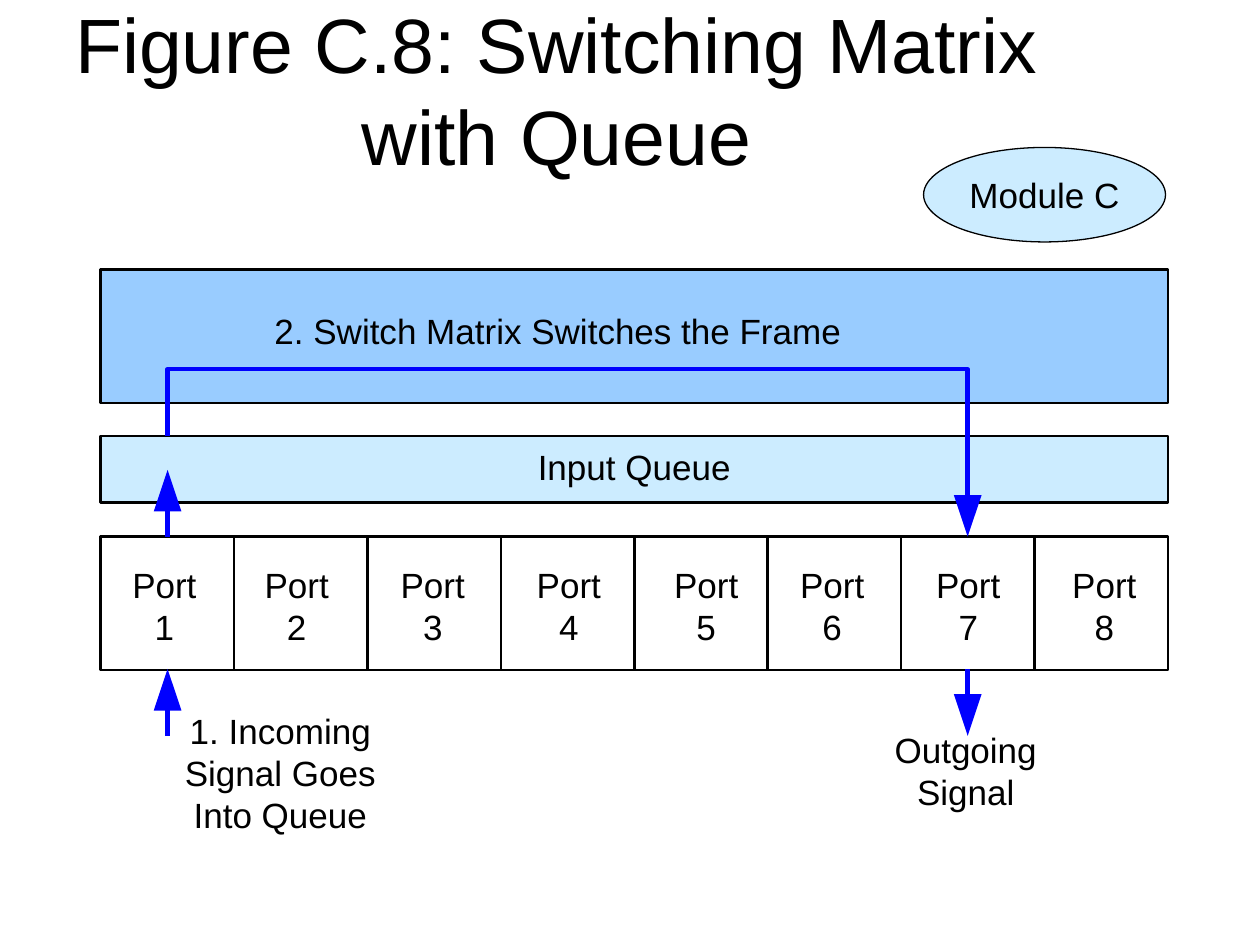
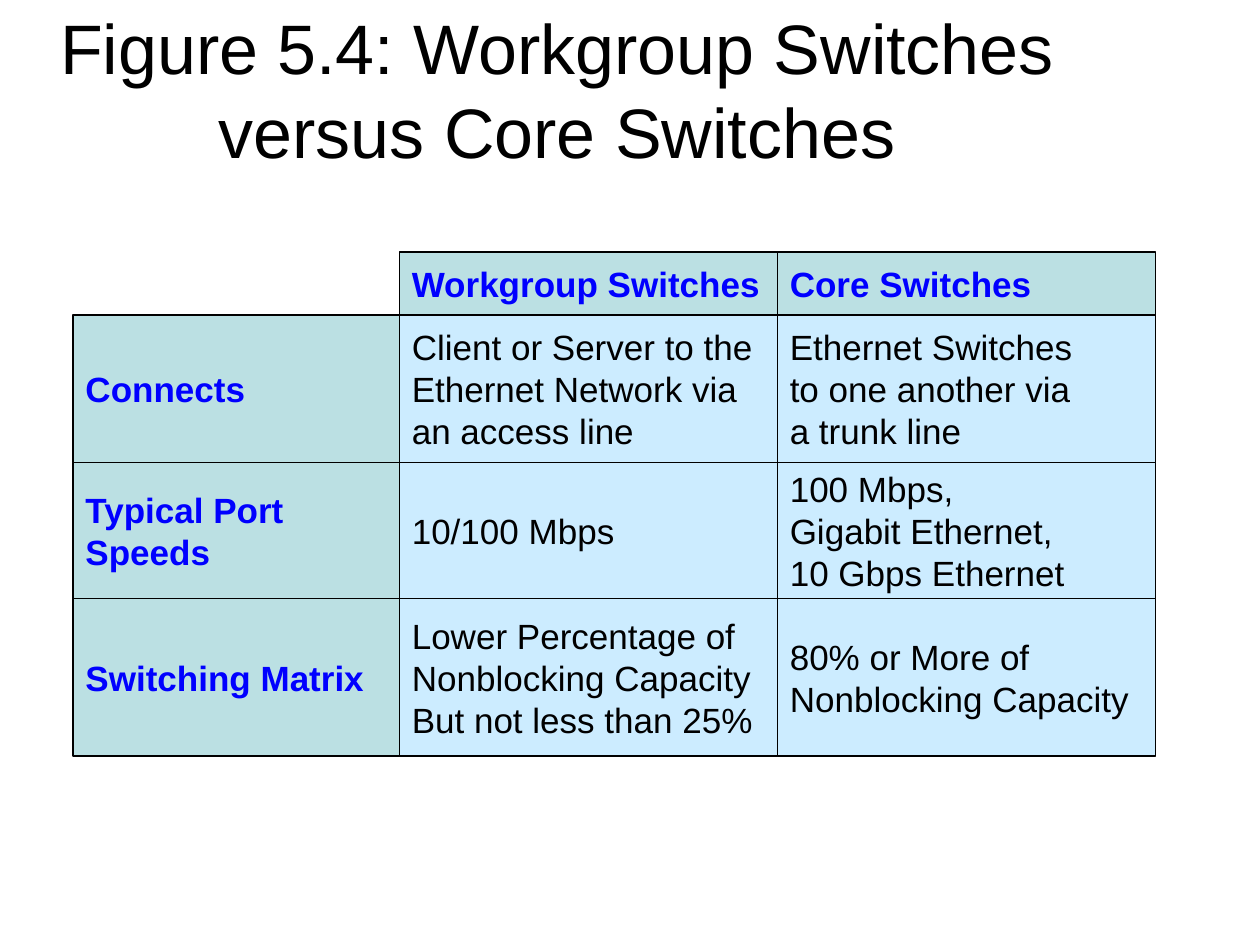
from itertools import accumulate

from lxml import etree
from pptx import Presentation
from pptx.dml.color import RGBColor
from pptx.enum import shapes, text
from pptx.oxml import ns
from pptx.util import Inches, Pt

FONT = "Arial"
BODY_SIZE = 20
COLORS = {
    "black": "000000",
    "white": "FFFFFF",
    "signal": "0000FF",
    "pale": "CCECFF",
    "matrix": "99CCFF",
    "header": "BBE0E3",
}

PORT_COUNT = 8
PORT_LEFT, PORT_TOP, PORT_SIDE = 0.8, 4.26, 1.06
DEVICE_WIDTH = 8.47
PORT_PITCH = (DEVICE_WIDTH - PORT_SIDE) / (PORT_COUNT - 1)
PORT_LABEL_LEFTS = (0.95, 2, 3.08, 4.16, 5.25, 6.25, 7.33, 8.41)
INCOMING_X, OUTGOING_X = 1.33, 7.68
HEAD_WIDTH, HEAD_LENGTH = 0.22, 0.33

GRID_LEFT, GRID_TOP = 0.58, 2
COLUMN_WIDTHS = (2.59, 3, 3)
ROW_HEIGHTS = (0.5, 1.17, 1.08, 1.25)
COMPARISON = (
    ("", "Workgroup Switches", "Core Switches"),
    ("Connects",
     "Client or Server to the\nEthernet Network via\nan access line",
     "Ethernet Switches\nto one another via\na trunk line"),
    ("Typical Port\nSpeeds",
     "10/100 Mbps",
     "100 Mbps,\nGigabit Ethernet,\n10 Gbps Ethernet"),
    ("Switching Matrix",
     "Lower Percentage of\nNonblocking Capacity\nBut not less than 25%",
     "80% or More of\nNonblocking Capacity"),
)


def color(name):
    return RGBColor.from_string(COLORS[name])


def write(text_frame, content, size=BODY_SIZE, name="black", bold=False, centered=False):
    text_frame.text = content
    for paragraph in text_frame.paragraphs:
        paragraph.alignment = text.PP_ALIGN.CENTER if centered else text.PP_ALIGN.LEFT
        for run in paragraph.runs:
            run.font.name = FONT
            run.font.size = Pt(size)
            run.font.bold = bold
            run.font.color.rgb = color(name)


def paint(shape, fill=None, line=None, width=1.5):
    shape.shadow.inherit = False
    if fill:
        shape.fill.solid()
        shape.fill.fore_color.rgb = color(fill)
    else:
        shape.fill.background()
    if line:
        shape.line.color.rgb = color(line)
        shape.line.width = Pt(width)
    else:
        shape.line.fill.background()


def add_box(slide, left, top, width, height, fill, line_width=1.5):
    box = slide.shapes.add_shape(
        shapes.MSO_SHAPE.RECTANGLE, Inches(left), Inches(top), Inches(width), Inches(height))
    paint(box, fill, "black", line_width)
    return box


def add_label(slide, content, left, top, width, height, centered=True):
    label = slide.shapes.add_textbox(Inches(left), Inches(top), Inches(width), Inches(height))
    label.text_frame.word_wrap = False
    write(label.text_frame, content, centered=centered)


def add_title(slide, content, size):
    title = slide.shapes.add_textbox(Inches(0.17), Inches(0.08), Inches(8.5), Inches(1.25))
    title.text_frame.word_wrap = True
    title.text_frame.vertical_anchor = text.MSO_ANCHOR.MIDDLE
    write(title.text_frame, content, size, centered=True)


def add_path(slide, points, close):
    points = [(Inches(x), Inches(y)) for x, y in points]
    builder = slide.shapes.build_freeform(*points[0])
    builder.add_line_segments(points[1:], close=close)
    return builder.convert_to_shape()


def add_arrowhead(slide, x, tip, direction):
    base = tip - direction * HEAD_LENGTH
    half = HEAD_WIDTH / 2
    head = add_path(slide, [(x - half, base), (x, tip), (x + half, base)], True)
    paint(head, "signal")


def add_arrow(slide, x, start, tip):
    direction = 1 if tip > start else -1
    stem_end = tip - direction * 0.3
    stem = slide.shapes.add_connector(
        shapes.MSO_CONNECTOR.STRAIGHT, Inches(x), Inches(start), Inches(x), Inches(stem_end))
    stem.line.color.rgb = color("signal")
    stem.line.width = Pt(2.5)
    etree.SubElement(stem._element.spPr, ns.qn("a:effectLst"))
    add_arrowhead(slide, x, tip, direction)


def add_module_badge(slide):
    badge = slide.shapes.add_shape(
        shapes.MSO_SHAPE.OVAL, Inches(7.33), Inches(1.17), Inches(1.92), Inches(0.75))
    paint(badge, "pale", "black", 0.75)
    badge.text_frame.word_wrap = False
    badge.text_frame.vertical_anchor = text.MSO_ANCHOR.MIDDLE
    write(badge.text_frame, "Module C", centered=True)


def add_grid_cell(slide, content, left, top, width, height, is_header):
    cell = add_box(slide, left, top, width, height, "header" if is_header else "pale", 0.75)
    frame = cell.text_frame
    frame.word_wrap = True
    frame.margin_right = Inches(0.02)
    frame.vertical_anchor = text.MSO_ANCHOR.MIDDLE
    write(frame, content, name="signal" if is_header else "black", bold=is_header)


def add_comparison(slide):
    lefts = list(accumulate(COLUMN_WIDTHS, initial=GRID_LEFT))
    tops = list(accumulate(ROW_HEIGHTS, initial=GRID_TOP))
    for column, width in enumerate(COLUMN_WIDTHS):
        for row, height in enumerate(ROW_HEIGHTS):
            content = COMPARISON[row][column]
            if content:
                add_grid_cell(slide, content, lefts[column], tops[row], width, height,
                              row == 0 or column == 0)


def build_matrix_slide(slide):
    for index in range(PORT_COUNT):
        add_box(slide, PORT_LEFT + index * PORT_PITCH, PORT_TOP, PORT_SIDE, PORT_SIDE, "white")
    add_box(slide, PORT_LEFT, 3.46, DEVICE_WIDTH, 0.53, "pale")
    add_box(slide, PORT_LEFT, 2.14, DEVICE_WIDTH, 1.06, "matrix")

    add_arrow(slide, INCOMING_X, 5.84, 5.31)
    add_arrow(slide, INCOMING_X, PORT_TOP, 3.73)
    route = add_path(slide, [(INCOMING_X, 3.46), (INCOMING_X, 2.93),
                             (OUTGOING_X, 2.93), (OUTGOING_X, 3.95)], False)
    paint(route, line="signal", width=2.5)
    add_arrowhead(slide, OUTGOING_X, PORT_TOP, 1)
    add_arrow(slide, OUTGOING_X, 5.31, 5.84)

    add_title(slide, "Figure C.8: Switching Matrix with Queue", 44)
    add_label(slide, "2. Switch Matrix Switches the Frame", 2.08, 2.41, 4.7, 0.44, False)
    add_label(slide, "Input Queue", 4.17, 3.49, 1.73, 0.44, False)
    add_label(slide, "1. Incoming\nSignal Goes\nInto Queue", 1.35, 5.58, 1.75, 1.1)
    add_label(slide, "Outgoing\nSignal", 7, 5.73, 1.33, 0.77)
    for number, left in enumerate(PORT_LABEL_LEFTS, 1):
        add_label(slide, f"Port\n{number}", left, 4.42, 0.71, 0.77)
    add_module_badge(slide)


def build_comparison_slide(slide):
    add_title(slide, "Figure 5.4: Workgroup Switches versus Core Switches", 40)
    add_comparison(slide)


def main():
    presentation = Presentation()
    presentation.slide_width = Inches(10)
    presentation.slide_height = Inches(7.5)
    blank = presentation.slide_layouts[6]
    for build in (build_matrix_slide, build_comparison_slide):
        build(presentation.slides.add_slide(blank))
    presentation.save("out.pptx")


if __name__ == "__main__":
    main()
